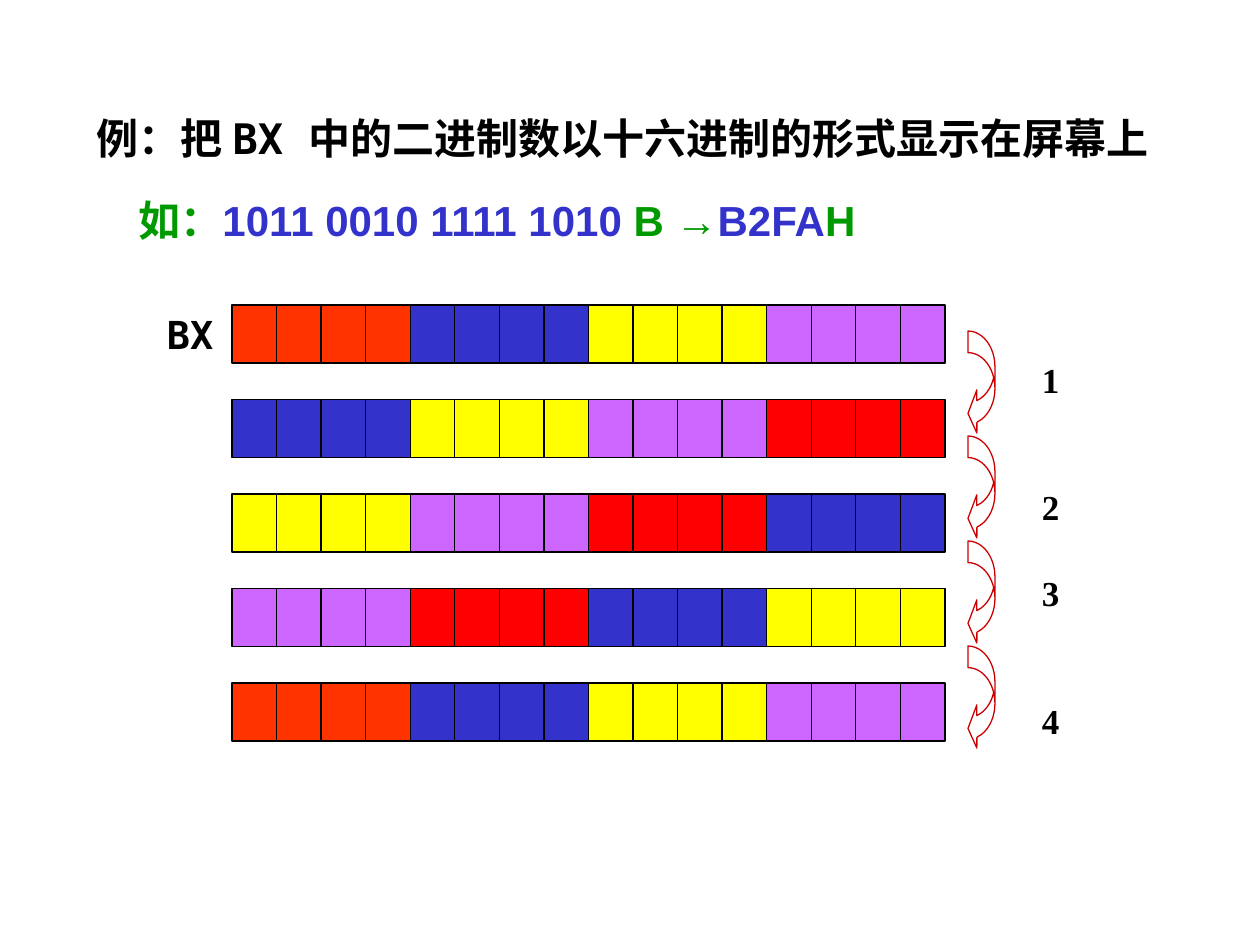
from pptx import Presentation
from pptx.dml.color import RGBColor
from pptx.enum.shapes import MSO_SHAPE
from pptx.enum.text import MSO_ANCHOR, MSO_AUTO_SIZE, PP_ALIGN
from pptx.util import Emu, Pt

RECTANGLE = MSO_SHAPE.RECTANGLE
CURVED_ARROW = MSO_SHAPE.CURVED_LEFT_ARROW
TOP = MSO_ANCHOR.TOP
NO_FIT = MSO_AUTO_SIZE.NONE
LEFT = PP_ALIGN.LEFT

EMU_PER_PIXEL = 914400 / 126
SERIF, SANS, MONO = "Times New Roman", "Arial", "DejaVu Sans Mono"
BLACK, GREEN, BLUE = "000000", "009900", "3333CC"
ORANGE, RED, YELLOW, PURPLE = "FF3300", "FF0000", "FFFF00", "CC66FF"
ARROW_RED = "CC0000"


def px(pixels):
    """Turn pixels into EMU."""
    return Emu(round(pixels * EMU_PER_PIXEL))


def color(value):
    """Turn a hex string into a colour."""
    return RGBColor.from_string(value)


def place(shape, left, top, width, height):
    """Set the position and size of a shape."""
    shape.left, shape.top = px(left), px(top)
    shape.width, shape.height = px(width), px(height)


def format_frame(shape, margin_left=13, margin_top=6):
    """Set margins and wrapping and return the text frame."""
    frame = shape.text_frame
    frame.word_wrap = True
    frame.auto_size = NO_FIT
    frame.vertical_anchor = TOP
    frame.margin_left, frame.margin_right = px(margin_left), px(13)
    frame.margin_top, frame.margin_bottom = px(margin_top), px(6)
    return frame


def add_runs(paragraph, size, runs):
    """Add bold runs given as text, font and colour."""
    paragraph.alignment = LEFT
    for text, font_name, font_color in runs:
        run = paragraph.add_run()
        run.text = text
        run.font.name = font_name
        run.font.size = Pt(size)
        run.font.bold = True
        run.font.color.rgb = color(font_color)


def add_text(slide, box, size, runs, margin_left=13):
    """Add a text box with one paragraph."""
    shape = slide.shapes.add_textbox(*map(px, box))
    frame = format_frame(shape, margin_left)
    add_runs(frame.paragraphs[0], size, runs)


def add_title(slide, box, size, runs):
    """Move and fill the title placeholder."""
    title = slide.shapes.title
    place(title, *box)
    add_runs(format_frame(title).paragraphs[0], size, runs)


def add_outlined(shapes, kind, box, line_color, fill_color=None):
    """Add a preset shape with a thin outline."""
    shape = shapes.add_shape(kind, *map(px, box))
    shape.shadow.inherit = False
    shape.line.color.rgb = color(line_color)
    shape.line.width = Pt(0.74)
    if fill_color:
        shape.fill.solid()
        shape.fill.fore_color.rgb = color(fill_color)
    else:
        shape.fill.background()
    return shape


def add_register(slide, top, nibble_colors):
    """Add a row of sixteen bits, four to each colour."""
    left, right, bits, height = 232, 945, 16, 58
    width = (right - left) / bits
    register = slide.shapes.add_group_shape()
    for bit in range(bits):
        box = (left + bit * width, top, width, height)
        add_outlined(register.shapes, RECTANGLE, box, BLACK,
                     nibble_colors[bit // 4])


def add_rotations(slide):
    """Add the register after each rotation by four bits."""
    nibbles = [RED, BLUE, YELLOW, PURPLE]
    for step in range(5):
        shift = step % 4
        row = nibbles[shift:] + nibbles[:shift]
        if shift == 0:
            row[0] = ORANGE
        add_register(slide, 305 + step * 94.5, row)


def add_arrow(slide, top):
    """Add a curved arrow from one row to the next."""
    arrow = add_outlined(slide.shapes, CURVED_ARROW, (968, top, 27, 104),
                         ARROW_RED)
    for index, value in enumerate((0.8, 1.6, 0.33)):
        arrow.adjustments[index] = value


def add_step_numbers(slide):
    """Add the step numbers as spaced paragraphs."""
    shape = slide.shapes.add_textbox(*map(px, (1029, 346, 95, 218)))
    frame = format_frame(shape, margin_top=12)
    for number, space in enumerate((0, 49, 25, 49), start=1):
        paragraph = frame.paragraphs[0] if number == 1 else frame.add_paragraph()
        paragraph.space_before = Pt(space)
        add_runs(paragraph, 20, [(str(number), SERIF, BLACK)])


def main():
    """Build the slide and save it."""
    presentation = Presentation()
    presentation.slide_width, presentation.slide_height = px(1260), px(945)
    slide = presentation.slides.add_slide(presentation.slide_layouts[5])
    add_title(slide, (84, 106, 1103, 63), 24, [
        ("例：把 ", SERIF, BLACK),
        ("BX ", MONO, BLACK),
        ("中的二进制数以十六进制的形式显示在屏幕上", SERIF, BLACK),
    ])
    add_text(slide, (116, 189, 1018, 63), 24, [
        (" 如：", SANS, GREEN),
        ("1011 0010 1111 1010", SANS, BLUE),
        (" B →", SANS, GREEN),
        ("B2FA", SANS, BLUE),
        ("H", SANS, GREEN),
    ])
    add_rotations(slide)
    add_text(slide, (116, 305, 147, 84), 22, [("BX", MONO, BLACK)],
             margin_left=51)
    for step in range(4):
        add_arrow(slide, 331 + step * 105)
    add_step_numbers(slide)
    presentation.save("out.pptx")


main()
